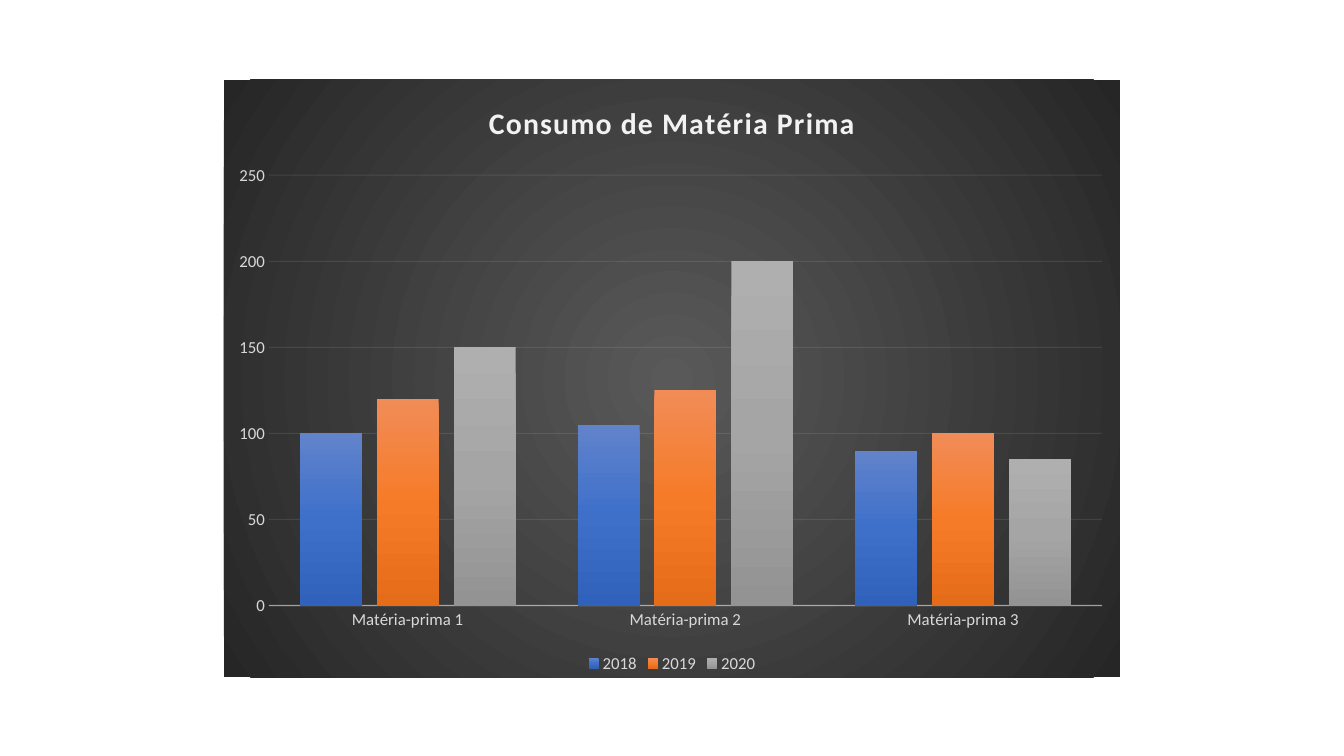
from lxml import etree
from pptx import Presentation
from pptx import util as u
from pptx.chart.data import CategoryChartData
from pptx.dml.color import RGBColor
from pptx.enum import chart as kinds
from pptx.oxml import parse_xml
from pptx.oxml.ns import nsdecls, qn

COLORS = {"title": "F2F2F2", "label": "D9D9D9", "line": "F2F2F2"}
BACKDROP = ["595959", "262626"]
CONSUMPTION = {
    "2018": ([100, 105, 90], ["6183CB", "3E70CA", "3062BB"]),
    "2019": ([120, 125, 100], ["F18C57", "F67B28", "E56C19"]),
    "2020": ([150, 200, 85], ["AFAFAF", "A5A5A5", "939393"]),
}
LINEAR = '<a:lin ang="5400000" scaled="0"/>'
CIRCLE = ('<a:path path="circle"><a:fillToRect l="50000" t="50000" '
          'r="50000" b="50000"/></a:path>')


def gradient_properties(colors, direction):
    """Return shape properties with evenly spaced gradient stops and no outline."""
    stops = "".join(
        f'<a:gs pos="{100000 * i // (len(colors) - 1)}"><a:srgbClr val="{color}"/></a:gs>'
        for i, color in enumerate(colors))
    return parse_xml(
        f'<c:spPr {nsdecls("c", "a")}><a:gradFill><a:gsLst>{stops}</a:gsLst>'
        f'{direction}</a:gradFill><a:ln><a:noFill/></a:ln></c:spPr>')


def style_line(line_format, width, opacity):
    line = line_format.line
    line.width = u.Pt(width)
    line.color.rgb = RGBColor.from_string(COLORS["line"])
    color = line_format.element.find(".//" + qn("a:srgbClr")) if hasattr(
        line_format, "element") else line.fill._xPr.find(".//" + qn("a:srgbClr"))
    etree.SubElement(color, qn("a:alpha"), val=str(opacity * 1000))


deck = Presentation()
deck.slide_width, deck.slide_height = u.Inches(13.33), u.Inches(7.5)
page = deck.slides.add_slide(deck.slide_layouts[6])

data = CategoryChartData()
data.categories = [f"Matéria-prima {number}" for number in (1, 2, 3)]
for year, (values, _) in CONSUMPTION.items():
    data.add_series(year, values)

# The chart spans two thirds of the slide's width
width = deck.slide_width * 2 // 3
chart = page.shapes.add_chart(
    kinds.XL_CHART_TYPE.COLUMN_CLUSTERED, (deck.slide_width - width) // 2,
    u.Inches(0.79), width, u.Inches(5.93), data).chart
chart.font.name = "Calibri"
chart.font.size = u.Pt(12)
chart.font.color.rgb = RGBColor.from_string(COLORS["label"])
chart.element.find(qn("c:chart")).addnext(gradient_properties(BACKDROP, CIRCLE))

# Title
chart.has_title = True
title = chart.chart_title
title.include_in_layout = False
title.text_frame.text = "Consumo de Matéria Prima"
span = title.text_frame.paragraphs[0].runs[0]
span.font.name = "Calibri"
span.font.size = u.Pt(21.3)
span.font.bold = True
span.font.color.rgb = RGBColor.from_string(COLORS["title"])
span.font._element.set("spc", "100")

# Columns
plot = chart.plots[0]
plot.gap_width, plot.overlap, plot.vary_by_categories = 100, -24, False
for series, (_, colors) in zip(plot.series, CONSUMPTION.values()):
    series.invert_if_negative = False
    properties = series._element.get_or_add_spPr()
    properties.getparent().replace(properties, gradient_properties(colors, LINEAR))

# Axes
for axis in (chart.category_axis, chart.value_axis):
    axis.major_tick_mark = axis.minor_tick_mark = kinds.XL_TICK_MARK.NONE
style_line(chart.category_axis.format, 1, 54)
amounts = chart.value_axis
amounts.minimum_scale, amounts.maximum_scale, amounts.major_unit = 0, 250, 50
amounts.format.line.fill.background()
amounts.has_major_gridlines = True
style_line(amounts.major_gridlines.format, 0.75, 10)

# Legend
chart.has_legend = True
chart.legend.position = kinds.XL_LEGEND_POSITION.BOTTOM
chart.legend.include_in_layout = False

# Plot area as shares of the chart
area = chart.element.find(".//" + qn("c:plotArea"))
for layout in area.findall(qn("c:layout")):
    area.remove(layout)
shares = "".join(f'<c:{side} val="{share}"/>' for side, share in
                 zip("xywh", (0.05, 0.16, 0.93, 0.72)))
area.insert(0, parse_xml(
    f'<c:layout {nsdecls("c")}><c:manualLayout><c:layoutTarget val="inner"/>'
    f'<c:xMode val="edge"/><c:yMode val="edge"/>{shares}</c:manualLayout></c:layout>'))

deck.save("out.pptx")
